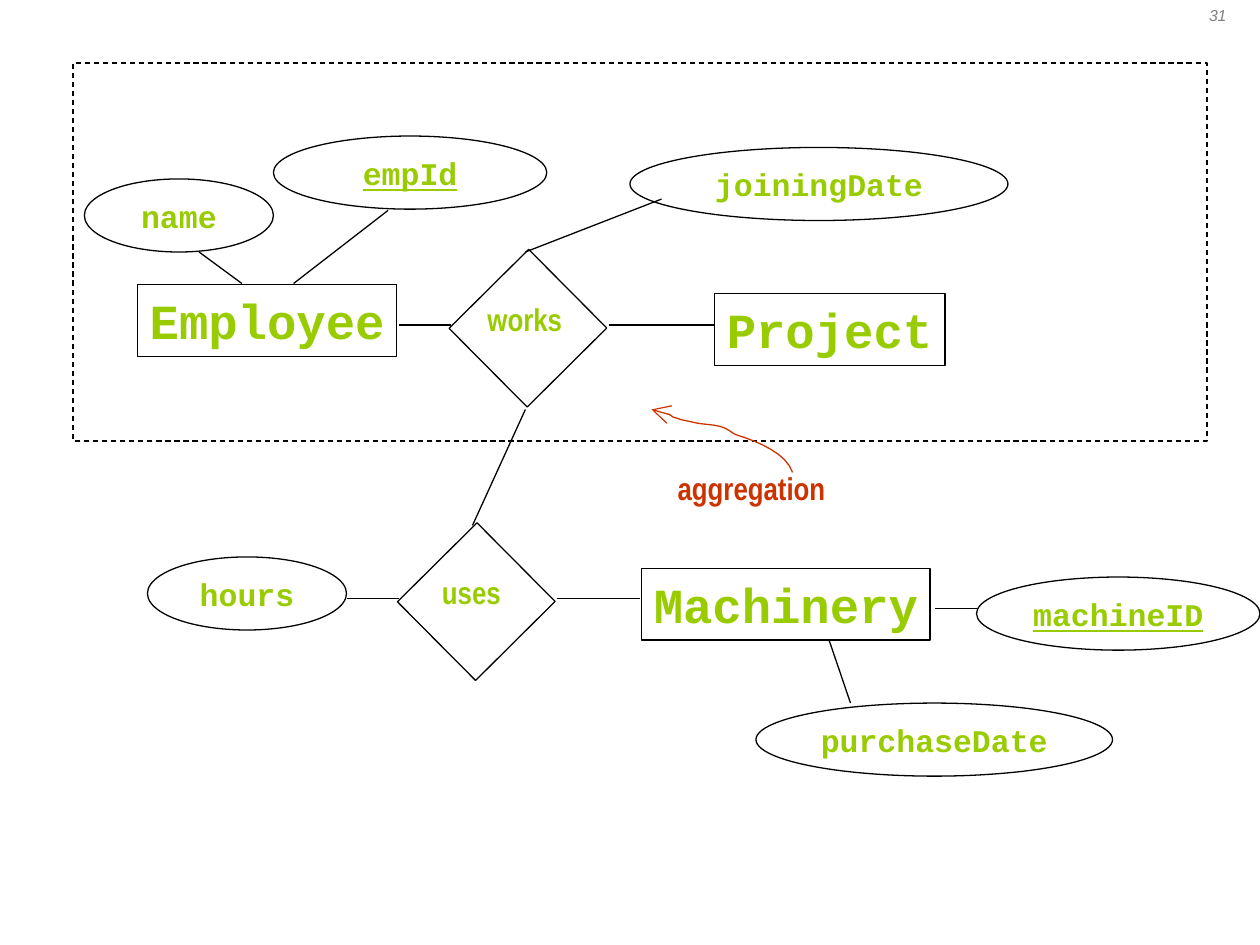
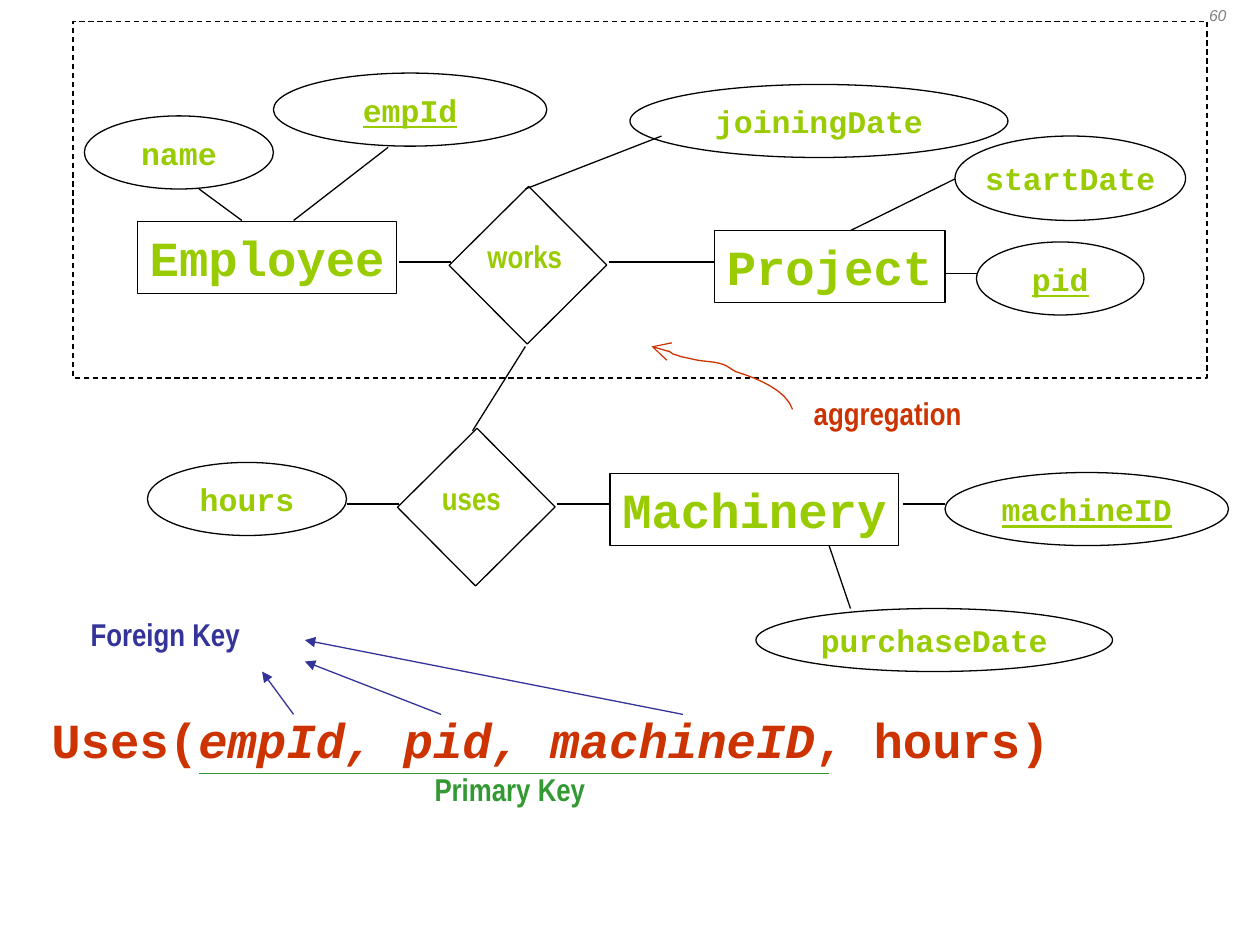
from dataclasses import dataclass

from lxml import etree
from pptx import Presentation
from pptx.dml.color import RGBColor
from pptx.enum.dml import MSO_LINE
from pptx.enum.shapes import MSO_CONNECTOR, MSO_SHAPE
from pptx.enum.text import MSO_ANCHOR, MSO_AUTO_SIZE, PP_ALIGN
from pptx.oxml.ns import qn
from pptx.util import Inches, Pt

RECTANGLE, OVAL = MSO_SHAPE.RECTANGLE, MSO_SHAPE.OVAL
STRAIGHT, DASH = MSO_CONNECTOR.STRAIGHT, MSO_LINE.DASH
TOP, MIDDLE = MSO_ANCHOR.TOP, MSO_ANCHOR.MIDDLE
LEFT, CENTER = PP_ALIGN.LEFT, PP_ALIGN.CENTER
FIXED = MSO_AUTO_SIZE.NONE


@dataclass(frozen=True)
class Theme:
    black = RGBColor(0x00, 0x00, 0x00)
    grey = RGBColor(0x80, 0x80, 0x80)
    lime = RGBColor(0x99, 0xCC, 0x00)
    red = RGBColor(0xCC, 0x33, 0x00)
    green = RGBColor(0x33, 0x99, 0x33)
    blue = RGBColor(0x33, 0x33, 0x99)
    code_font = "Courier New"
    label_font = "Arial Narrow"
    number_font = "Arial"
    entity_size = Pt(28)
    label_size = Pt(18)
    number_size = Pt(9)
    line_width = Pt(0.75)


theme = Theme()


def add_box(page, kind, place, text="", font=theme.label_font, size=theme.label_size,
            color=theme.lime, underline=False):
    """Add an outlined shape, or a plain text box when kind is None."""
    place = [Inches(length) for length in place]
    if kind is None:
        box = page.shapes.add_textbox(*place)
    else:
        box = page.shapes.add_shape(kind, *place)
        box.shadow.inherit = False
        box.fill.background()
        box.line.color.rgb = theme.black
        box.line.width = theme.line_width
    frame = box.text_frame
    frame.word_wrap = False
    frame.auto_size = FIXED
    frame.vertical_anchor = MIDDLE if kind == OVAL else TOP
    para = frame.paragraphs[0]
    para.alignment = CENTER if kind == OVAL else LEFT
    if kind != OVAL:
        # Left-aligned text stays on one line when it is free to reach the right edge.
        frame.word_wrap = True
        frame.margin_right = 0
    para.font.name, para.font.size, para.font.bold = font, size, True
    para.font.color.rgb = color
    if underline:
        para.font.underline = True
    if text:
        para.add_run().text = text
    return box


def add_line(page, points, color=theme.black, arrow=None, arrow_size="med"):
    """Join points: a connector for two, an open outline for more."""
    points = [(Inches(x), Inches(y)) for x, y in points]
    if len(points) == 2:
        line = page.shapes.add_connector(STRAIGHT, *points[0], *points[1])
    else:
        builder = page.shapes.build_freeform(*points[0])
        builder.add_line_segments(points[1:], close=False)
        line = builder.convert_to_shape()
        line.fill.background()
    line.line.color.rgb = color
    line.line.width = theme.line_width
    properties = line.element.spPr
    if arrow:
        etree.SubElement(properties.find(qn("a:ln")), qn("a:tailEnd"),
                         type=arrow, w=arrow_size, len=arrow_size)
    etree.SubElement(properties, qn("a:effectLst"))


# Shared diagram; the upper part and the lower part each move as a whole.
upper_ovals = [("name", 0.67, 1.42, 1.5, False), ("empId", 2.17, 1.08, 2.17, True),
               ("joiningDate", 5, 1.17, 3, False)]
upper_entities = [("Employee", 1.09, 2.26, 2.06), ("Project", 5.67, 2.33, 1.83)]
upper_links = [(1.92, 2.25, 1.58, 2), (2.33, 2.25, 3.08, 1.67), (3.17, 2.58, 3.58, 2.58),
               (4.83, 2.58, 5.67, 2.58), (4.17, 2, 5.25, 1.58)]
lower_links = [(3.17, 4.75, 2.75, 4.75), (6.58, 5.08, 6.75, 5.58)]

# Cubic curves of the aggregation arrow: two control points and an end each.
arrow_start = (6.29, 3.75)
arrow_curves = [
    ((6.24, 3.6), (6.03, 3.51), (5.84, 3.45)),
    ((5.8, 3.43), (5.77, 3.4), (5.73, 3.39)),
    ((5.67, 3.37), (5.6, 3.37), (5.54, 3.36)),
    ((5.49, 3.35), (5.45, 3.34), (5.4, 3.33)),
    ((5.38, 3.32), (5.34, 3.31), (5.34, 3.31)),
    ((5.33, 3.3), (5.31, 3.29), (5.3, 3.28)),
    ((5.25, 3.27), (5.17, 3.25), (5.17, 3.25)),
]
steps = 8
arrow_points = [arrow_start]
for control_1, control_2, end in arrow_curves:
    start = arrow_points[-1]
    for step in range(1, steps + 1):
        t = step / steps
        weights = ((1 - t) ** 3, 3 * t * (1 - t) ** 2, 3 * t ** 2 * (1 - t), t ** 3)
        corners = (start, control_1, control_2, end)
        arrow_points.append(tuple(
            sum(weight * corner[axis] for weight, corner in zip(weights, corners))
            for axis in (0, 1)))

layouts = [
    dict(number="31", upper=0, lower=0, machinery_shift=0, machine_id_top=4.58,
         purchase_height=0.58, frame=(0.58, 0.5, 9, 3), aggregation=(5.28, 3.67)),
    dict(number="60", upper=-0.5, lower=-0.75, machinery_shift=-0.25, machine_id_top=3.75,
         purchase_height=0.5, frame=(0.58, 0.17, 9, 2.83), aggregation=(6.36, 3.08)),
]

deck = Presentation()
deck.slide_width, deck.slide_height = Inches(10), Inches(7.5)

for layout in layouts:
    page = deck.slides.add_slide(deck.slide_layouts[6])
    upper, lower, shift = layout["upper"], layout["lower"], layout["machinery_shift"]

    number = add_box(page, None, (9.33, 0, 0.67, 0.5), layout["number"],
                     theme.number_font, theme.number_size, theme.grey)
    number.text_frame.margin_right = Inches(0.1)
    para = number.text_frame.paragraphs[0]
    para.alignment = CENTER
    para.font.bold, para.font.italic = False, True

    add_box(page, RECTANGLE, layout["frame"]).line.dash_style = DASH

    ovals = [(name, x, y + upper, width, 0.58, key) for name, x, y, width, key in upper_ovals]
    ovals += [("hours", 1.17, 4.42 + lower, 1.58, 0.58, False),
              ("machineID", 7.75 + shift, layout["machine_id_top"], 2.25, 0.58, True),
              ("purchaseDate", 6, 5.58 + lower, 2.83, layout["purchase_height"], False)]
    if layout is layouts[1]:
        ovals += [("pid", 7.75, 1.92, 1.33, 0.58, True),
                  ("startDate", 7.58, 1.08, 1.83, 0.67, False)]
    for name, x, y, width, height, key in ovals:
        add_box(page, OVAL, (x, y, width, height), name, theme.code_font, underline=key)

    entities = [(name, x, y + upper, width) for name, x, y, width in upper_entities]
    entities.append(("Machinery", 5.09 + shift, 4.51 + lower, 2.29))
    for name, x, y, width in entities:
        add_box(page, RECTANGLE, (x, y, width, 0.57), name, theme.code_font, theme.entity_size)

    for name, x, y, label_x, label_width in [("works", 3.75, 2.16 + upper, 3.77, 0.79),
                                             ("uses", 3.34, 4.33 + lower, 3.41, 0.66)]:
        add_box(page, RECTANGLE, (x, y, 0.88, 0.89)).rotation = 45.2
        add_box(page, None, (label_x, y + 0.17, label_width, 0.4), name)

    machine_link_y = layout["machine_id_top"] + 0.25
    links = [(x1, y1 + upper, x2, y2 + upper) for x1, y1, x2, y2 in upper_links]
    links += [(x1, y1 + lower, x2, y2 + lower) for x1, y1, x2, y2 in lower_links]
    links += [(3.75, 4.17 + lower, 4.17, 3.25 + upper),
              (4.42, 4.75 + lower, 5.08 + shift, 4.75 + lower),
              (7.42 + shift, machine_link_y, 7.75 + shift, machine_link_y)]
    if layout is layouts[1]:
        links += [(6.75, 1.83, 7.58, 1.42), (7.5, 2.17, 7.75, 2.17)]
    for x1, y1, x2, y2 in links:
        add_line(page, [(x1, y1), (x2, y2)])

    add_box(page, None, (*layout["aggregation"], 1.37, 0.4), "aggregation", color=theme.red)
    add_line(page, [(x, y + upper) for x, y in arrow_points], theme.red, "arrow", "lg")

# The relation and its keys, on the last page only.
relation = add_box(page, None, (0.31, 5.58, 8.12, 0.57), "Uses(",
                   theme.code_font, theme.entity_size, theme.red)
for text, italic in [("empId, pid, machineID", True), (", hours)", False)]:
    span = relation.text_frame.paragraphs[0].add_run()
    span.text = text
    span.font.italic = italic

add_line(page, [(1.58, 6.14), (6.58, 6.14)], theme.green)
add_box(page, None, (3.35, 6.06, 1.39, 0.4), "Primary Key", color=theme.green)
add_box(page, None, (0.62, 4.83, 1.38, 0.4), "Foreign Key", color=theme.blue)
for start, end in [((2.33, 5.67), (2.08, 5.33)), ((3.5, 5.67), (2.42, 5.25)),
                   ((5.42, 5.67), (2.42, 5.08))]:
    add_line(page, [start, end], theme.blue, "triangle")

deck.save("out.pptx")
